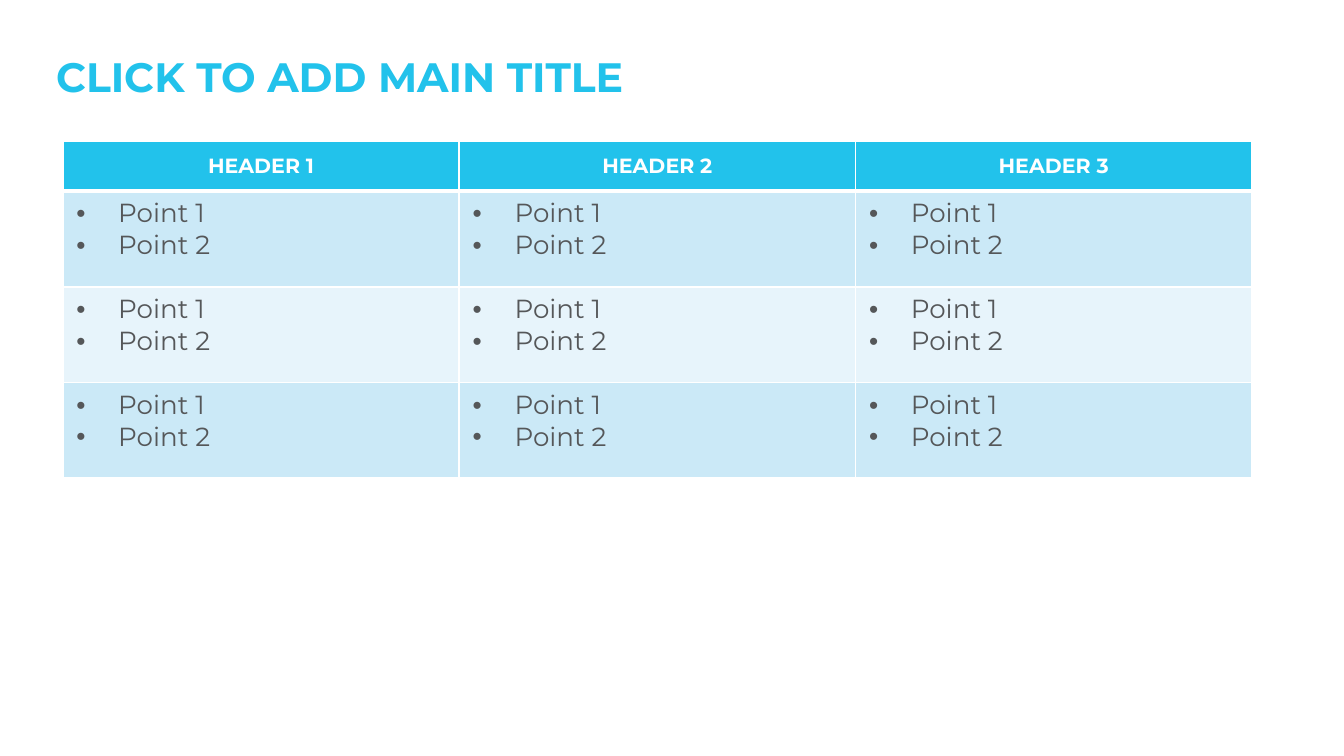
import pptx
import pptx.dml.color
import pptx.enum.text
import pptx.oxml
import pptx.oxml.ns
import pptx.util
from pptx.util import Cm

TITLE = "CLICK TO ADD MAIN TITLE"
HEADERS = ["HEADER 1", "HEADER 2", "HEADER 3"]
POINTS = ["Point 1", "Point 2"]
BODY_ROWS = [[POINTS] * len(HEADERS) for _ in range(3)]

COLOURS = {
    "accent": "22C2EB",
    "white": "FFFFFF",
    "text": "555759",
    "band_dark": "CBE9F7",
    "band_light": "E7F4FB",
}
FONT = "Montserrat"
COLUMN_WIDTH, HEADER_HEIGHT, BODY_HEIGHT = 7.49, 0.94, 1.81
INDENT = Cm(0.79)
THIN, THICK = 1, 3

ALIGN = pptx.enum.text.PP_ALIGN
ANCHOR = pptx.enum.text.MSO_ANCHOR


def rgb(name):
    return pptx.dml.color.RGBColor.from_string(COLOURS[name])


def parse_xml(tag, attributes, content=""):
    return pptx.oxml.parse_xml(
        f'<a:{tag} {pptx.oxml.ns.nsdecls("a")} {attributes}>{content}</a:{tag}>')


def solid(name):
    return f'<a:solidFill><a:srgbClr val="{COLOURS[name]}"/></a:solidFill>'


def add_bullet(paragraph, colour):
    properties = paragraph._p.get_or_add_pPr()
    properties.set("marL", str(INDENT))
    properties.set("indent", str(-INDENT))
    properties.append(parse_xml("buClr", "", f'<a:srgbClr val="{COLOURS[colour]}"/>'))
    properties.append(parse_xml("buFont", 'typeface="Arial"'))
    properties.append(parse_xml("buChar", 'char="•"'))


def write(frame, lines, size, colour, bold=False, align=ALIGN.LEFT,
          bullets=False, line_spacing=None):
    frame.word_wrap = True
    for index, line in enumerate(lines):
        paragraph = frame.paragraphs[0] if index == 0 else frame.add_paragraph()
        if bullets:
            add_bullet(paragraph, colour)
        paragraph.alignment = align
        if line_spacing:
            paragraph.line_spacing = line_spacing
        run = paragraph.add_run()
        run.text = line
        run.font.name = FONT
        run.font.size = pptx.util.Pt(size)
        run.font.bold = bold
        run.font.color.rgb = rgb(colour)


def style_cell(cell, fill, top=THIN, bottom=THIN):
    """Fill the cell and draw its white borders, widths in points."""
    cell.fill.solid()
    cell.fill.fore_color.rgb = rgb(fill)
    properties = cell._tc.get_or_add_tcPr()
    sides = [("lnL", THIN), ("lnR", THIN), ("lnT", top), ("lnB", bottom)]
    for position, (side, width) in enumerate(sides):
        border = parse_xml(side, f'w="{pptx.util.Pt(width)}"', solid("white"))
        properties.insert(position, border)


def add_title(slide):
    title = slide.shapes.add_textbox(Cm(0.81), Cm(1.02), Cm(22.78), Cm(0.94))
    title.text_frame.vertical_anchor = ANCHOR.MIDDLE
    write(title.text_frame, [TITLE], size=22, colour="accent", bold=True,
          line_spacing=0.9)


def add_points_table(slide):
    table = slide.shapes.add_table(
        len(BODY_ROWS) + 1, len(HEADERS), Cm(1.19), Cm(2.67),
        Cm(COLUMN_WIDTH * len(HEADERS)),
        Cm(HEADER_HEIGHT + BODY_HEIGHT * len(BODY_ROWS))).table
    for column in table.columns:
        column.width = Cm(COLUMN_WIDTH)
    for index, row in enumerate(table.rows):
        row.height = Cm(BODY_HEIGHT if index else HEADER_HEIGHT)

    for column, header in enumerate(HEADERS):
        cell = table.cell(0, column)
        cell.vertical_anchor = ANCHOR.MIDDLE
        style_cell(cell, "accent", bottom=THICK)
        write(cell.text_frame, [header], size=11, colour="white", bold=True,
              align=ALIGN.CENTER)

    for row, body_row in enumerate(BODY_ROWS, start=1):
        for column, points in enumerate(body_row):
            cell = table.cell(row, column)
            style_cell(cell, "band_dark" if row % 2 else "band_light",
                       top=THICK if row == 1 else THIN)
            write(cell.text_frame, points, size=14, colour="text", bullets=True)


def main():
    deck = pptx.Presentation()
    deck.slide_width, deck.slide_height = Cm(25.4), Cm(14.29)
    slide = deck.slides.add_slide(deck.slide_layouts[6])
    add_title(slide)
    add_points_table(slide)
    deck.save("out.pptx")


if __name__ == "__main__":
    main()
